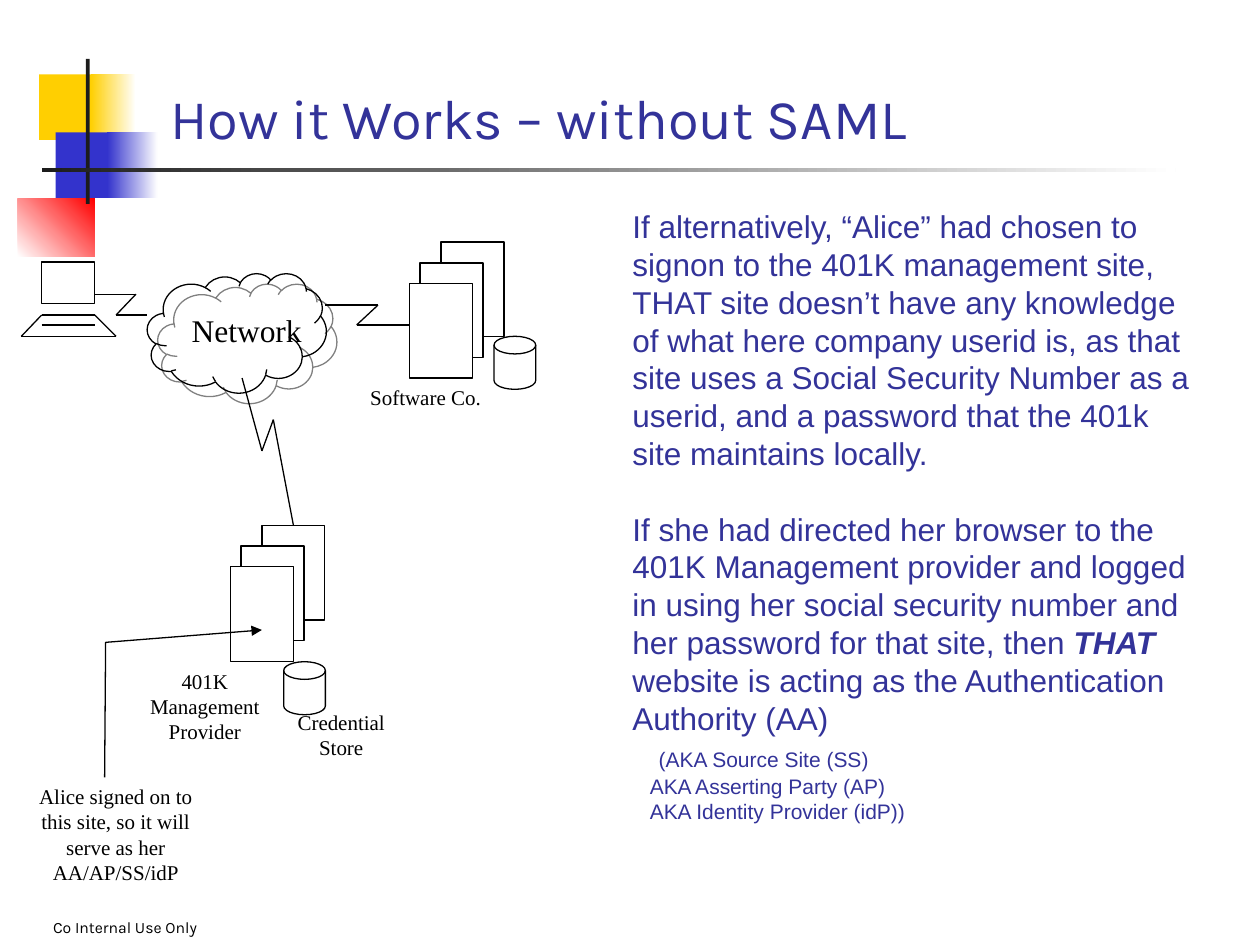
from itertools import pairwise

from lxml.etree import SubElement
from pptx import Presentation
from pptx.dml.color import RGBColor
from pptx.enum.shapes import MSO_CONNECTOR as Connector, MSO_SHAPE as Preset
from pptx.enum.text import MSO_ANCHOR as Anchor, MSO_AUTO_SIZE as AutoSize, PP_ALIGN as Align
from pptx.oxml.ns import qn
from pptx.util import Cm, Pt

BLACK = RGBColor(0x00, 0x00, 0x00)
WHITE = RGBColor(0xFF, 0xFF, 0xFF)
GOLD = RGBColor(0xFF, 0xCF, 0x01)
BLUE = RGBColor(0x33, 0x33, 0xCC)
RED = RGBColor(0xFF, 0x00, 0x00)
CHARCOAL = RGBColor(0x1C, 0x1C, 0x1C)
INDIGO = RGBColor(0x33, 0x33, 0x99)


def write(para, text, size=12, font="Times New Roman", color=BLACK, strong=False,
          align=Align.LEFT, leading=None, before=None, indent=None):
    para.alignment = align
    if leading:
        para.line_spacing = Pt(leading)
    if before:
        para.space_before = Pt(before)
    if indent:
        para._p.get_or_add_pPr().set("marL", str(Cm(indent)))
    span = para.add_run()
    span.text = text
    span.font.size = Pt(size)
    span.font.name = font
    span.font.color.rgb = color
    span.font.bold = span.font.italic = strong


class Sketch:
    line_width = Pt(0.75)
    line_color = BLACK

    def __init__(self, page):
        self.page = page
        self.shapes = page.shapes

    def outline(self, item):
        item.line.color.rgb = self.line_color
        item.line.width = self.line_width

    def frame(self, box, anchor=Anchor.TOP, left=0.25, top=0.13, bottom=0.13):
        frame = box.text_frame
        frame.word_wrap = True
        frame.auto_size = AutoSize.NONE
        frame.vertical_anchor = anchor
        frame.margin_left, frame.margin_right = Cm(left), Cm(0.25)
        frame.margin_top, frame.margin_bottom = Cm(top), Cm(bottom)
        return frame

    def title(self, text, place, bottom):
        box = self.shapes.title
        box.left, box.top, box.width, box.height = map(Cm, place)
        frame = self.frame(box, Anchor.BOTTOM, bottom=bottom)
        write(frame.paragraphs[0], text, size=32, font="Karla", color=INDIGO)

    def text(self, place, **layout):
        return self.frame(self.shapes.add_textbox(*map(Cm, place)), **layout)

    def label(self, text, place, size=12):
        para = self.text(place).paragraphs[0]
        write(para, text, size=size, align=Align.CENTER, leading=size * 1.2)

    def shape(self, preset, place, fill=None):
        shape = self.shapes.add_shape(preset, *map(Cm, place))
        shape.shadow.inherit = False
        if fill is None:
            shape.fill.background()
        else:
            shape.fill.solid()
            shape.fill.fore_color.rgb = fill
        self.outline(shape)
        return shape

    def block(self, place, color):
        block = self.shape(Preset.RECTANGLE, place, color)
        block.line.fill.background()
        return block

    def fade(self, place, start, end, angle=0):
        block = self.block(place, start)
        block.fill.gradient()
        block.fill.gradient_angle = angle
        for stop, color in zip(block.fill.gradient_stops, (start, end)):
            stop.color.rgb = color

    def cloud(self, place):
        cloud = self.shape(Preset.CLOUD, place)
        effects = cloud._element.spPr.find(qn("a:effectLst"))
        shadow = SubElement(effects, qn("a:outerShdw"), dist=str(Pt(8.5)),
                            dir="2700000", algn="ctr", rotWithShape="0")
        SubElement(shadow, qn("a:srgbClr"), val="808080")

    def lines(self, points, target=None):
        for start, end in pairwise(points):
            line = self.shapes.add_connector(Connector.STRAIGHT, *map(Cm, start + end))
            self.outline(line)
            SubElement(line._element.spPr, qn("a:effectLst"))
        if target:
            line.end_connect(target, 0)

    def arrow(self, points):
        start, *rest = [tuple(map(Cm, point)) for point in points]
        builder = self.shapes.build_freeform(*start)
        builder.add_line_segments(rest, close=False)
        arrow = builder.convert_to_shape()
        arrow.shadow.inherit = False
        arrow.fill.background()
        self.outline(arrow)
        SubElement(arrow.line._get_or_add_ln(), qn("a:tailEnd"), type="triangle")

    def servers(self, left, top):
        back = self.shape(Preset.RECTANGLE, (left, top, 1.27, 1.91))
        for shift, drop in ((0.42, 0.42), (0.63, 0.83)):
            self.shape(Preset.RECTANGLE, (left - shift, top + drop, 1.27, 1.91), WHITE)
        return back

    def store(self, left, top):
        self.shape(Preset.FLOWCHART_MAGNETIC_DISK, (left, top, 0.84, 1.07))


def draw_decoration(sketch):
    sketch.block((0.79, 1.5, 1.22, 1.32), GOLD)
    sketch.fade((1.83, 1.5, 0.91, 1.32), GOLD, WHITE)
    sketch.block((1.12, 2.67, 1.17, 1.32), BLUE)
    sketch.fade((2.16, 2.67, 1.02, 1.32), BLUE, WHITE)
    sketch.fade((0.36, 4.01, 1.55, 1.17), WHITE, RED, angle=45)
    sketch.block((1.73, 1.19, 0.08, 2.92), CHARCOAL)
    sketch.fade((0.84, 3.38, 22.86, 0.08), CHARCOAL, WHITE)
    footer = sketch.text((0, 17.78, 8.05, 1.27), anchor=Anchor.BOTTOM, left=1.07, bottom=0.17)
    write(footer.paragraphs[0], "Co Internal Use Only", size=9, font="Karla")


def draw_explanation(sketch):
    frame = sketch.text((12.5, 5.92, 12.07, 9.96), anchor=Anchor.MIDDLE, bottom=1.14)
    prose = {"size": 18, "font": "Arial", "color": INDIGO, "leading": 21.6}
    write(frame.paragraphs[0],
          "If alternatively, “Alice” had chosen to signon to the 401K management site, "
          "THAT site doesn’t have any knowledge of what here company userid is, as that "
          "site uses a Social Security Number as a userid, and a password that the 401k "
          "site maintains locally.", **prose)
    para = frame.add_paragraph()
    write(para,
          "If she had directed her browser to the 401K Management provider and logged in "
          "using her social security number and her password for that site, then",
          before=21.6, **prose)
    write(para, " THAT", strong=True, **prose)
    write(para, " website is acting as the Authentication Authority (AA)", **prose)
    aliases = (("(AKA Source Site (SS)", 0.53, 5.9),
               ("AKA Asserting Party (AP)", 0.35, 1),
               ("AKA Identity Provider (idP))", 0.35, 0))
    for text, indent, before in aliases:
        write(frame.add_paragraph(), text, font="Arial", color=INDIGO,
              leading=14.4, before=before, indent=indent)


def draw_network(sketch):
    sketch.shape(Preset.RECTANGLE, (0.84, 5.28, 1.07, 0.84))
    sketch.lines([(0.84, 6.35), (1.91, 6.35), (2.34, 6.78), (0.43, 6.78), (0.84, 6.35)])
    sketch.lines([(0.84, 6.55), (1.91, 6.55)])
    sketch.lines([(1.91, 5.93), (2.74, 5.93), (2.34, 6.35), (2.97, 6.35)])
    sketch.cloud((2.97, 5.51, 3.61, 2.41))
    sketch.lines([(6.55, 6.15), (7.62, 6.15), (7.19, 6.55), (8.26, 6.55)])
    sketch.servers(8.89, 4.88)
    sketch.store(9.96, 6.78)
    provider = sketch.servers(5.28, 10.59)
    sketch.store(5.72, 13.34)
    sketch.lines([(4.88, 7.62), (5.28, 9.09), (5.51, 8.46), (5.92, 10.59)], provider)
    sketch.label("Software Co.", (6.99, 7.62, 3.18, 0.76))
    sketch.label("401K Management Provider", (2.54, 13.34, 3.18, 1.78))
    sketch.label("Network", (2.97, 6.15, 4.01, 1.02), size=18)
    sketch.label("Credential Store", (5.51, 14.17, 2.74, 1.27))
    sketch.label("Alice signed on to this site, so it will serve as her AA/AP/SS/idP",
                 (0.43, 15.67, 3.81, 2.29))
    sketch.arrow([(2.11, 15.67), (2.13, 12.95), (5.28, 12.7)])


def main():
    deck = Presentation()
    deck.slide_width, deck.slide_height = Cm(25.4), Cm(19.05)
    sketch = Sketch(deck.slides.add_slide(deck.slide_layouts[5]))
    draw_decoration(sketch)
    sketch.title("How it Works – without SAML", (3.18, 1.9, 17.35, 2.11), bottom=0.97)
    draw_explanation(sketch)
    draw_network(sketch)
    deck.save("out.pptx")


if __name__ == "__main__":
    main()
